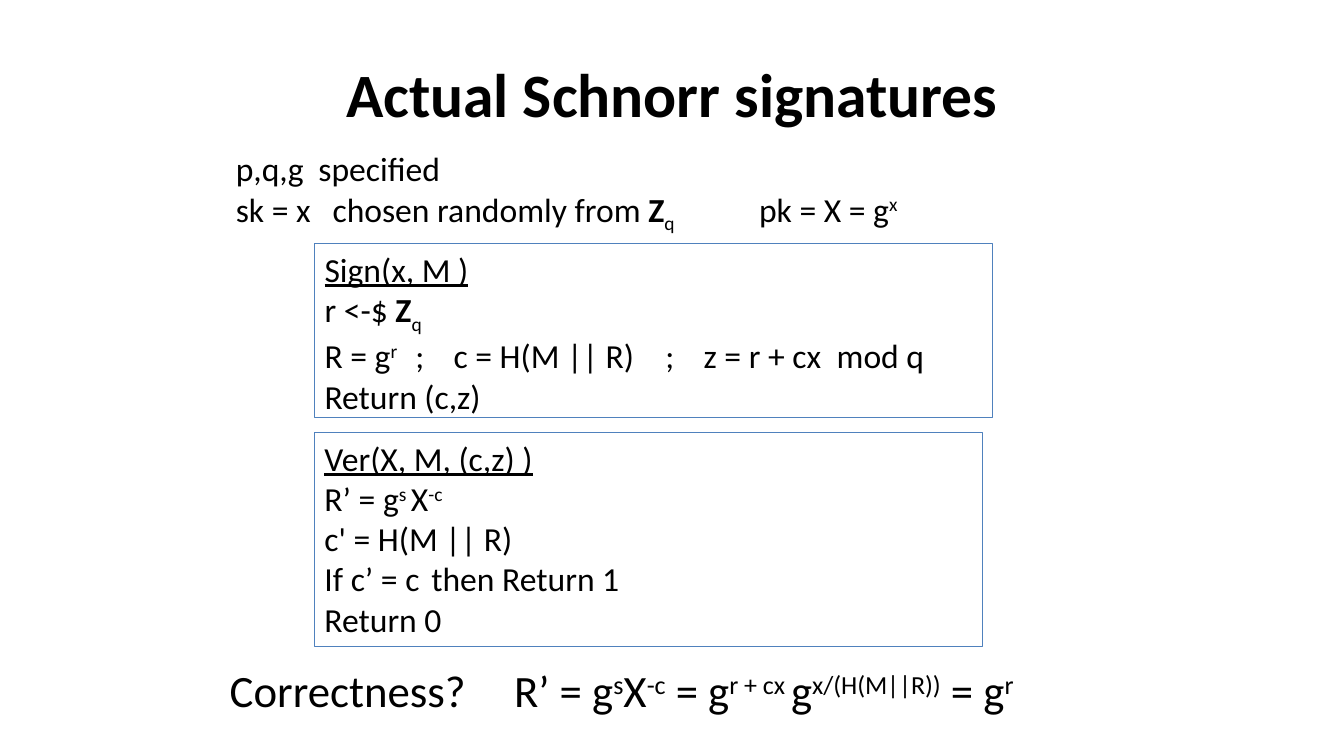
import pptx
import pptx.dml.color
import pptx.enum.shapes
import pptx.enum.text
import pptx.util
from pptx.util import Inches

FONT = "Calibri"
BLACK = "000000"
BORDER = "4F81BD"
SUB, SUP = "-25000", "30000"


def color(hex_code):
    return pptx.dml.color.RGBColor.from_string(hex_code)


def write(frame, lines, size, tabs=()):
    """Fill frame; a line is a list of strings or (text, style) pairs, style being SUB, SUP or a font attribute."""
    frame.word_wrap = True
    frame.vertical_anchor = pptx.enum.text.MSO_ANCHOR.TOP
    for index, line in enumerate(lines):
        paragraph = frame.paragraphs[0] if index == 0 else frame.add_paragraph()
        paragraph.alignment = pptx.enum.text.PP_ALIGN.LEFT
        stops = tabs[index] if index < len(tabs) else ()
        if stops:
            tab_list = pptx.oxml.xmlchemy.OxmlElement("a:tabLst")
            for stop in stops:
                tab = pptx.oxml.xmlchemy.OxmlElement("a:tab")
                tab.set("pos", str(Inches(stop)))
                tab.set("algn", "l")
                tab_list.append(tab)
            paragraph._p.get_or_add_pPr().append(tab_list)
        for part in line:
            text, style = part if isinstance(part, tuple) else (part, None)
            run = paragraph.add_run()
            run.text = text
            formats = {"name": FONT, "size": pptx.util.Pt(size)}
            if style in (SUB, SUP):
                run._r.get_or_add_rPr().set("baseline", style)
            elif style:
                formats[style] = True
            for attribute, value in formats.items():
                setattr(run.font, attribute, value)
            run.font.color.rgb = color(BLACK)


deck = pptx.Presentation()
deck.slide_width, deck.slide_height = Inches(13.33), Inches(7.5)
slide = deck.slides.add_slide(deck.slide_layouts[5])

title = slide.shapes.title
title_place = {"left": 0.67, "top": 0.3, "width": 12, "height": 1.25}
for attribute, value in title_place.items():
    setattr(title, attribute, Inches(value))
title.text_frame.text = "Actual Schnorr signatures"
title.text_frame.vertical_anchor = pptx.enum.text.MSO_ANCHOR.MIDDLE
heading = title.text_frame.paragraphs[0]
heading.alignment = pptx.enum.text.PP_ALIGN.CENTER
title_font = {"name": FONT, "size": pptx.util.Pt(44), "bold": True}
for attribute, value in title_font.items():
    setattr(heading.font, attribute, value)
heading.font.color.rgb = color(BLACK)

key_lines = [
    ["p,q,g\tspecified"],
    ["sk = x\tchosen randomly from ", ("Z", "bold"), ("q", SUB), "\tpk = X = g", ("x", SUP)],
]
key_setup = slide.shapes.add_textbox(Inches(2.24), Inches(1.42), Inches(6.88), Inches(0.91))
write(key_setup.text_frame, key_lines, 24, [(0.82,), (0.96, 5.19)])

sign_lines = [
    [("Sign(x, M )", "underline")],
    ["r <-$ ", ("Z", "bold"), ("q", SUB)],
    ["R = g", ("r", SUP), "\t;\tc = H(M || R)\t;\tz = r + cx\tmod q"],
    ["Return (c,z)"],
]
verify_lines = [
    [("Ver(X, M, (c,z) )", "underline")],
    ["R’ = g", ("s ", SUP), "X", ("-c", SUP)],
    ["c' = H(M || R)"],
    ["If c’ = c\tthen Return 1"],
    ["Return 0"],
]
algorithms = [
    (2.42, 6.72, 1.72, sign_lines, [(), (), (0.9, 1.28, 3.38, 3.76, 5.08)]),
    (4.29, 6.63, 2.12, verify_lines, [(), (), (), (1.06,)]),
]
for top, width, height, lines, tabs in algorithms:
    algorithm = slide.shapes.add_shape(
        pptx.enum.shapes.MSO_SHAPE.RECTANGLE,
        Inches(3.12), Inches(top), Inches(width), Inches(height))
    algorithm.shadow.inherit = False
    algorithm.fill.background()
    algorithm.line.color.rgb = color(BORDER)
    algorithm.line.width = pptx.util.Pt(0.75)
    write(algorithm.text_frame, lines, 24, tabs)

derivation = [
    "R’ = g", ("s", SUP), "X", ("-c", SUP), " = g", ("r + cx ", SUP),
    "g", ("x/(H(M||R))", SUP), " = g", ("r", SUP),
]
for left, width, line in [(5, 5.59, derivation), (2.18, 2.6, ["Correctness?"])]:
    correctness = slide.shapes.add_textbox(Inches(left), Inches(6.53), Inches(width), Inches(0.64))
    write(correctness.text_frame, [line], 32)

deck.save("out.pptx")
